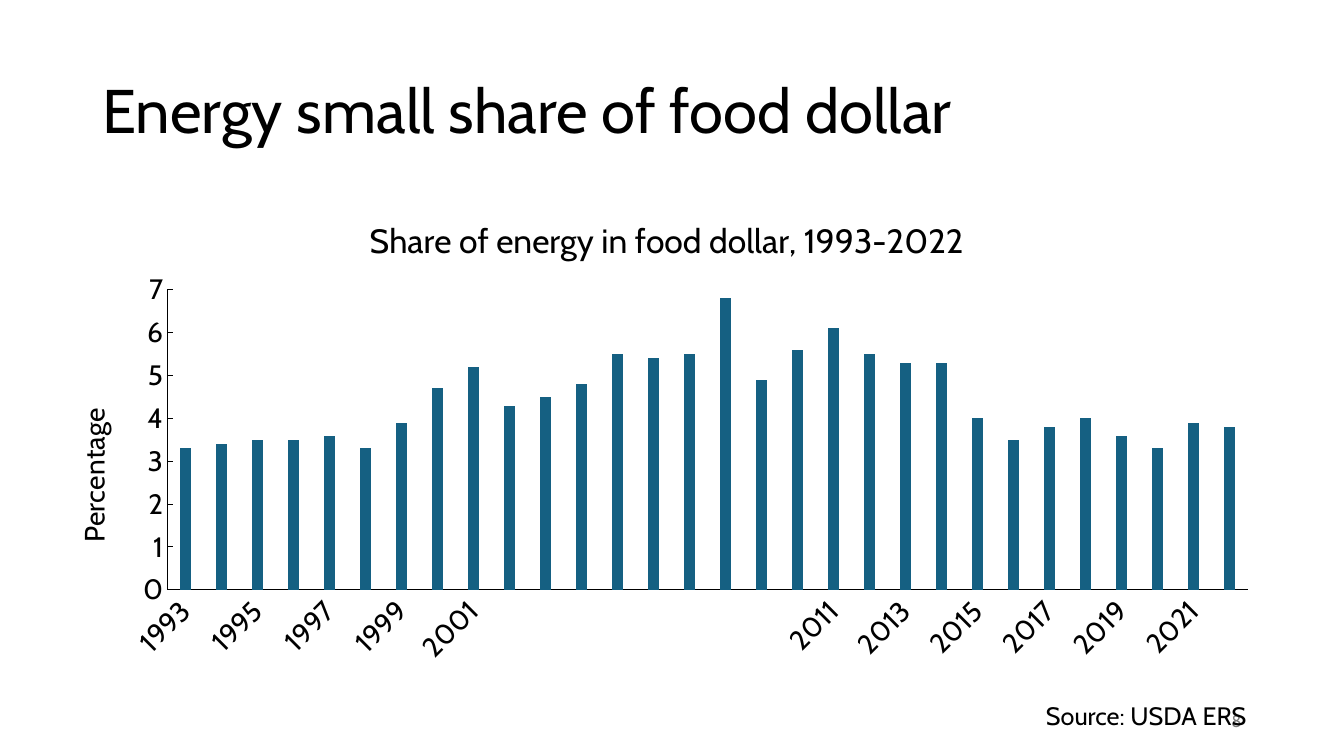
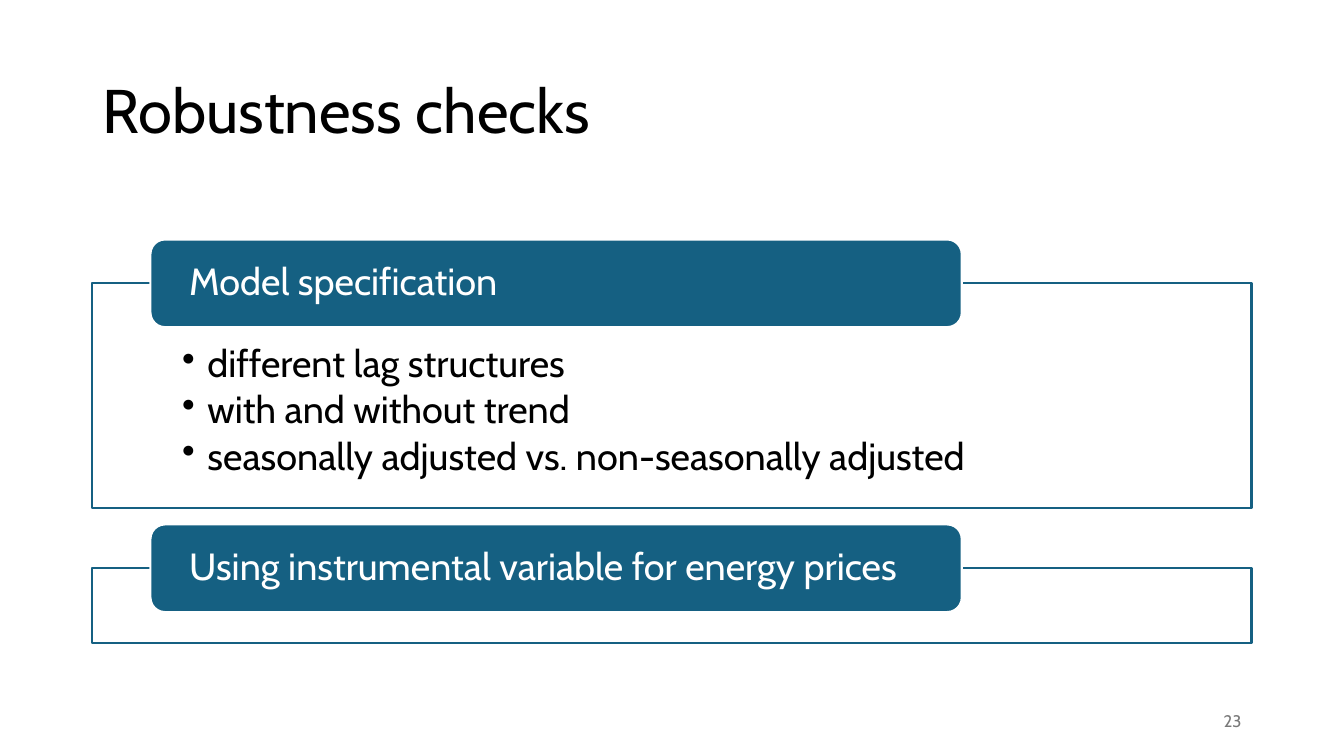
import pptx
import pptx.chart.data
import pptx.dml.color
import pptx.enum.chart
import pptx.enum.shapes
import pptx.enum.text
import pptx.oxml
import pptx.oxml.ns
import pptx.util

Cm, Pt, qn = pptx.util.Cm, pptx.util.Pt, pptx.oxml.ns.qn
Anchor, Align = pptx.enum.text.MSO_ANCHOR, pptx.enum.text.PP_ALIGN
Shape = pptx.enum.shapes.MSO_SHAPE

FONT = "Cabin"
BLACK, WHITE, TEAL, GREY = "000000", "FFFFFF", "156082", "797979"
MARGIN, CONTENT_W = 2.33, 29.21
TAB_H = 2.21
PANEL_GAP = 1.52

SHARES = [3.3, 3.4, 3.5, 3.5, 3.6, 3.3, 3.9, 4.7, 5.2, 4.3,
          4.5, 4.8, 5.5, 5.4, 5.5, 6.8, 4.9, 5.6, 6.1, 5.5,
          5.3, 5.3, 4, 3.5, 3.8, 4, 3.6, 3.3, 3.9, 3.8]
CHECKS = [
    ("Model specification", 5.66,
     ["different lag structures", "with and without trend",
      "seasonally adjusted vs. non-seasonally adjusted"]),
    ("Using instrumental variable for energy prices", 1.88, []),
]


def rgb(value):
    return pptx.dml.color.RGBColor.from_string(value)


def style_font(font, size, color):
    font.name, font.size, font.bold = FONT, Pt(size), False
    font.color.rgb = rgb(color)


def add_run(p, text, size, color):
    r = p.add_run()
    r.text = text
    style_font(r.font, size, color)


def set_frame(sp, anchor, left=0.25, top=0.13, right=0.25, bottom=0.13):
    """Set wrapping, anchor and insets, and return the text frame."""
    tf = sp.text_frame
    tf.word_wrap, tf.vertical_anchor = True, anchor
    tf.margin_left, tf.margin_right = Cm(left), Cm(right)
    tf.margin_top, tf.margin_bottom = Cm(top), Cm(bottom)
    return tf


def add_text(s, box, text, size, color=BLACK, anchor=Anchor.TOP, align=Align.LEFT):
    sp = s.shapes.add_textbox(*map(Cm, box))
    p = set_frame(sp, anchor).paragraphs[0]
    p.alignment = align
    p.line_spacing = 0.9 if size > 40 else 1.0
    add_run(p, text, size, color)


def add_box(s, kind, box, fill, line):
    sp = s.shapes.add_shape(kind, *map(Cm, box))
    sp.shadow.inherit = False
    sp.fill.solid()
    sp.fill.fore_color.rgb = rgb(fill)
    sp.line.color.rgb = rgb(line)
    sp.line.width = Pt(1.5)
    return sp


def add_base(prs, title, number):
    """Add a blank slide with the shared title and page number."""
    s = prs.slides.add_slide(prs.slide_layouts[6])
    add_text(s, (MARGIN, 1.02, CONTENT_W, 3.68), title, 44, anchor=Anchor.MIDDLE)
    add_text(s, (MARGIN + CONTENT_W - 7.62, 17.65, 7.62, 1.02), str(number), 12,
             GREY, Anchor.MIDDLE, Align.RIGHT)
    return s


def place_chart_part(element, index, **fractions):
    """Give a chart part a manual layout in fractions of the chart."""
    for old in element.findall(qn("c:layout")):
        element.remove(old)
    layout = pptx.oxml.parse_xml(
        f'<c:layout {pptx.oxml.ns.nsdecls("c")}><c:manualLayout/></c:layout>')
    settings = {"xMode": "edge", "yMode": "edge", **fractions}
    if "w" in fractions:
        settings = {"layoutTarget": "inner", **settings}
    for name, value in settings.items():
        layout[0].makeelement
        child = layout[0].makeelement(qn("c:" + name), {"val": str(value)})
        layout[0].append(child)
    element.insert(index, layout)


def set_chart_title(title, text, size, x, y):
    p = title.text_frame.paragraphs[0]
    add_run(p, text, size, BLACK)
    place_chart_part(title.element, 1, x=x, y=y)


def add_share_chart(s, box):
    data = pptx.chart.data.CategoryChartData()
    data.categories = [str(1993 + i) for i in range(len(SHARES))]
    data.add_series("Series 1", SHARES)
    chart = s.shapes.add_chart(pptx.enum.chart.XL_CHART_TYPE.COLUMN_CLUSTERED,
                               *map(Cm, box), data).chart
    style_font(chart.font, 20, BLACK)
    chart.has_legend = False
    chart.has_title = True
    set_chart_title(chart.chart_title, "Share of energy in food dollar, 1993-2022",
                    24, 0.26, 0.05)

    plot = chart.plots[0]
    plot.gap_width, plot.overlap, plot.vary_by_categories = 219, -27, False
    bars = plot.series[0]
    bars.invert_if_negative = False
    bars.format.fill.solid()
    bars.format.fill.fore_color.rgb = rgb(TEAL)

    Tick = pptx.enum.chart.XL_TICK_MARK
    years, percent = chart.category_axis, chart.value_axis
    for axis, tick in ((years, Tick.NONE), (percent, Tick.INSIDE)):
        axis.major_tick_mark, axis.minor_tick_mark = tick, Tick.NONE
        axis.has_major_gridlines = False
        axis.format.line.color.rgb = rgb(BLACK)
        axis.format.line.width = Pt(0.75)
        style_font(axis.tick_labels.font, 20, BLACK)
    percent.minimum_scale, percent.maximum_scale, percent.major_unit = 0, 7, 1
    percent.has_title = True
    set_chart_title(percent.axis_title, "Percentage", 20, 0.02, 0.44)

    for query, angle in ((".//c:catAx/c:txPr/a:bodyPr", -45),
                         (".//c:valAx/c:title//a:bodyPr", -90)):
        body = chart.element.xpath(query)[0]
        body.set("rot", str(angle * 60000))
        body.set("vert", "horz")
    place_chart_part(chart.element.xpath(".//c:plotArea")[0], 0,
                     x=0.1, y=0.21, w=0.88, h=0.61)


def add_bullet(p, text):
    p.alignment, p.line_spacing, p.space_after = Align.LEFT, 0.9, Pt(4)
    add_run(p, text, 27, BLACK)
    props = p._p.get_or_add_pPr()
    props.set("marL", str(Cm(0.64)))
    props.set("indent", str(-Cm(0.64)))
    props.append(pptx.oxml.parse_xml(
        f'<a:buChar {pptx.oxml.ns.nsdecls("a")} char="•"/>'))


def add_panel(s, box, heading, points):
    """Draw an outlined panel with a heading tab centred on its top edge."""
    left, top, width, height = box
    panel = add_box(s, Shape.RECTANGLE, box, WHITE, TEAL)
    if points:
        tf = set_frame(panel, Anchor.TOP, 2.26, 1.55, 2.26, 0.53)
        for i, point in enumerate(points):
            add_bullet(tf.add_paragraph() if i else tf.paragraphs[0], point)
    tab = add_box(s, Shape.ROUNDED_RECTANGLE,
                  (left + width * 0.05, top - TAB_H / 2, width * 0.7, TAB_H),
                  TEAL, WHITE)
    p = set_frame(tab, Anchor.MIDDLE, 0.87, 0, 0.87, 0).paragraphs[0]
    p.alignment, p.line_spacing = Align.LEFT, 0.9
    add_run(p, heading, 27, WHITE)


def chart_slide(prs):
    s = add_base(prs, "Energy small share of food dollar", 8)
    add_share_chart(s, (1.12, 4.7, 30.94, 12.4))
    add_text(s, (26.11, 17.53, 6.25, 1.02), "Source: USDA ERS", 18)


def checks_slide(prs):
    s = add_base(prs, "Robustness checks", 23)
    top = 7.14
    for heading, height, points in CHECKS:
        add_panel(s, (MARGIN, top, CONTENT_W, height), heading, points)
        top += height + PANEL_GAP


def main():
    prs = pptx.Presentation()
    prs.slide_width, prs.slide_height = Cm(33.87), Cm(19.05)
    chart_slide(prs)
    checks_slide(prs)
    prs.save("out.pptx")


if __name__ == "__main__":
    main()
